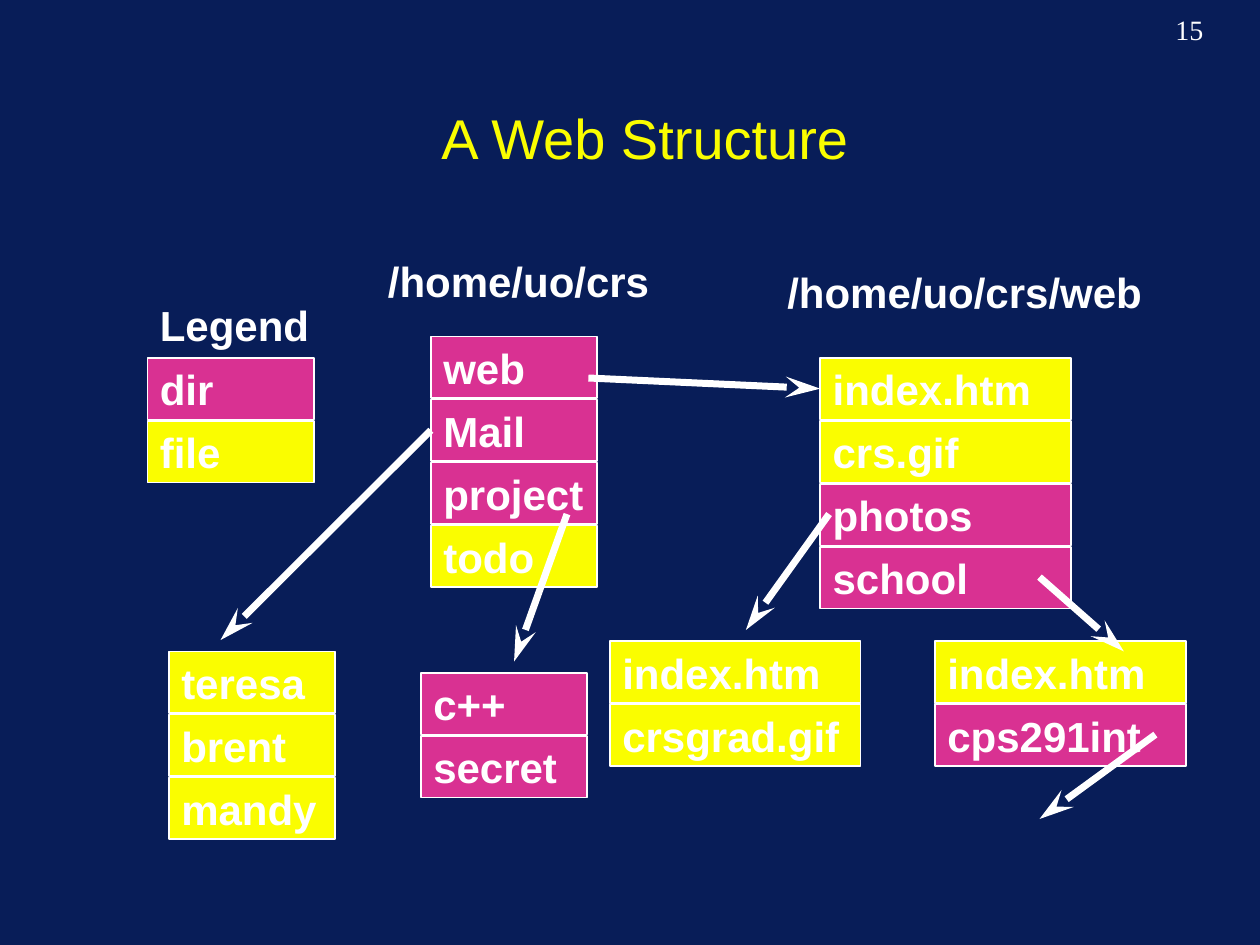
from lxml import etree
from pptx import Presentation
from pptx import util as u
from pptx.dml import color
from pptx.enum import shapes, text
from pptx.oxml import ns

NAVY, PINK, YELLOW, WHITE = "081D58", "D93192", "FAFD00", "FFFFFF"
DIR, FILE = PINK, YELLOW
STEP, HIGH = 0.5, 0.49


def rgb(code):
    return color.RGBColor.from_string(code)


class Deck:
    face = "Arial"
    size = 24

    def __init__(self, slide):
        self.slide = slide

    def letter(self, item, words, size=size, face=face, bold=True, ink=WHITE,
               align=text.PP_ALIGN.LEFT, mid=True, wrap=False):
        frame = item.text_frame
        frame.text = words
        frame.word_wrap = wrap
        frame.auto_size = text.MSO_AUTO_SIZE.NONE
        anchor = text.MSO_ANCHOR
        frame.vertical_anchor = anchor.MIDDLE if mid else anchor.TOP
        para = frame.paragraphs[0]
        para.alignment = align
        font = para.font
        font.size, font.name, font.bold = u.Pt(size), face, bold
        font.color.rgb = rgb(ink)

    def title(self, words, *place):
        item = self.slide.shapes.title
        item.left, item.top, item.width, item.height = map(u.Inches, place)
        self.letter(item, words, size=32, bold=False, ink=YELLOW,
                    align=text.PP_ALIGN.CENTER, wrap=True)

    def label(self, words, *place, **style):
        item = self.slide.shapes.add_textbox(*map(u.Inches, place))
        self.letter(item, words, **style)

    def cell(self, words, fill, *place):
        item = self.slide.shapes.add_shape(
            shapes.MSO_SHAPE.RECTANGLE, *map(u.Inches, place))
        item.shadow.inherit = False
        item.fill.solid()
        item.fill.fore_color.rgb = rgb(fill)
        item.line.color.rgb = rgb(WHITE)
        item.line.width = u.Pt(1)
        self.letter(item, words)
        return item

    def stack(self, left, top, width, rows):
        return [self.cell(words, fill, left, top + i * STEP, width, HIGH)
                for i, (words, fill) in enumerate(rows)]

    def arrow(self, *ends):
        item = self.slide.shapes.add_connector(
            shapes.MSO_CONNECTOR.STRAIGHT, *map(u.Inches, ends))
        item.line.color.rgb = rgb(WHITE)
        item.line.width = u.Pt(4)
        props = item._element.spPr
        etree.SubElement(props.find(ns.qn("a:ln")), ns.qn("a:tailEnd"),
                         type="stealth", w="med", len="lg")
        etree.SubElement(props, ns.qn("a:effectLst"))
        return item


def main():
    show = Presentation()
    show.slide_width, show.slide_height = u.Inches(10), u.Inches(7.5)
    slide = show.slides.add_slide(show.slide_layouts[5])
    slide.background.fill.solid()
    slide.background.fill.fore_color.rgb = rgb(NAVY)
    deck = Deck(slide)

    # Page number and title
    deck.label("15", 9.23, 0.05, 0.7, 0.36, size=16, face="Times New Roman",
               bold=False, mid=False)
    deck.title("A Web Structure", 0.87, 0.46, 8.5, 1.25)

    # Legend
    deck.label("Legend", 1.17, 2.33, 1.33, 0.5)
    deck.stack(1.17, 2.84, 1.32, [("dir", DIR), ("file", FILE)])

    # Home directory
    deck.label("/home/uo/crs", 2.98, 1.98, 2.28, 0.5, mid=False)
    home = deck.stack(3.42, 2.67, 1.32, [
        ("web", DIR), ("Mail", DIR), ("project", DIR), ("todo", FILE)])

    # Web directory
    deck.label("/home/uo/crs/web", 6.15, 2.07, 3.02, 0.5, mid=False)
    web = deck.stack(6.51, 2.84, 1.99, [
        ("index.htm", FILE), ("crs.gif", FILE),
        ("photos", DIR), ("school", DIR)])

    # Contents of Mail, project, photos and school
    deck.stack(1.34, 5.17, 1.32, [
        ("teresa", FILE), ("brent", FILE), ("mandy", FILE)])
    deck.stack(3.34, 5.34, 1.32, [("c++", DIR), ("secret", DIR)])
    deck.stack(4.84, 5.09, 1.99, [("index.htm", FILE), ("crsgrad.gif", FILE)])
    deck.stack(7.42, 5.09, 1.99, [("index.htm", FILE), ("cps291int", DIR)])

    # Arrows from each directory to its contents
    deck.arrow(3.42, 3.42, 1.75, 5.08).begin_connect(home[1], 1)
    deck.arrow(4.67, 3, 6.5, 3.08).end_connect(web[0], 1)
    for ends in [(4.5, 4.08, 4.08, 5.25), (6.58, 4.08, 5.92, 5),
                 (8.25, 4.58, 8.92, 5.17), (9.17, 5.83, 8.25, 6.5)]:
        deck.arrow(*ends)

    show.save("out.pptx")


if __name__ == "__main__":
    main()
